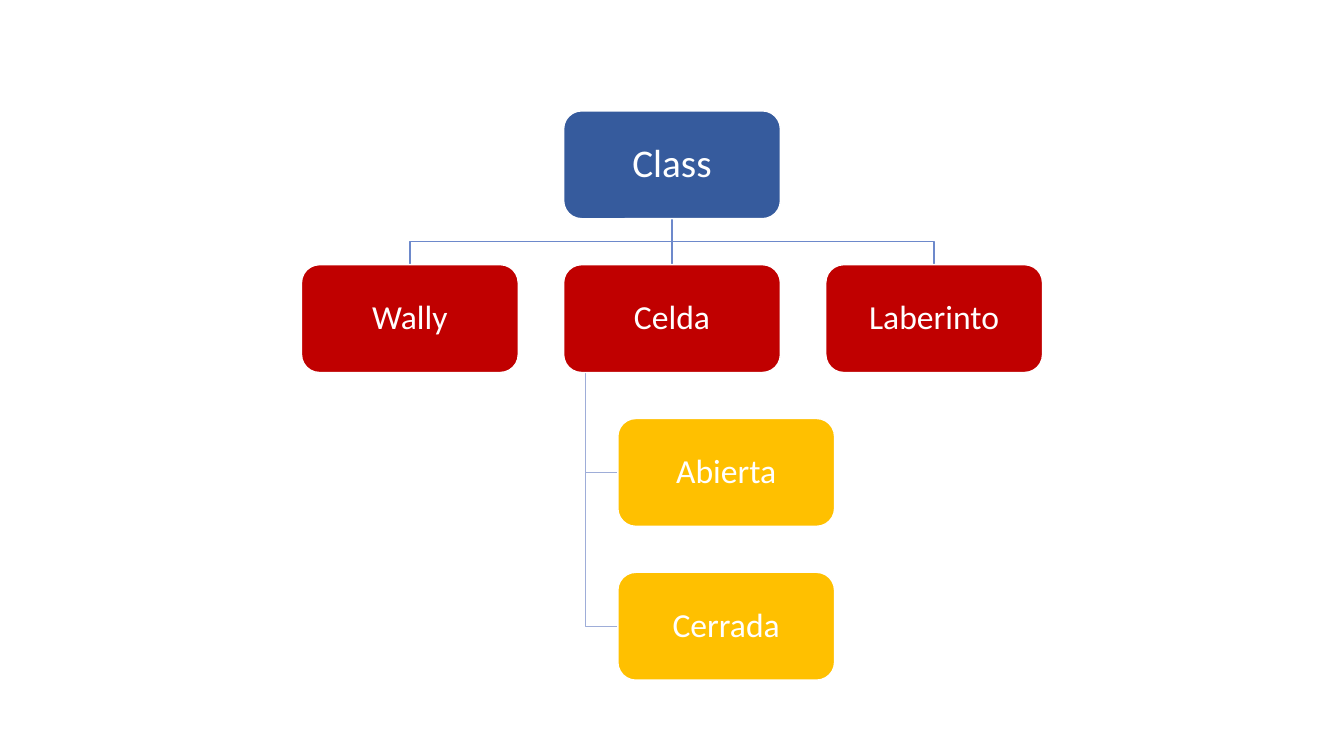
from lxml.etree import SubElement
from pptx import Presentation
from pptx.dml.color import RGBColor
from pptx.enum.shapes import MSO_CONNECTOR as Link, MSO_SHAPE as Shape
from pptx.enum.text import MSO_ANCHOR as Anchor, PP_ALIGN as Align
from pptx.oxml.ns import qn
from pptx.util import Inches, Pt

BLUE = RGBColor(0x36, 0x5B, 0x9D)
RED = RGBColor(0xC0, 0x00, 0x00)
GOLD = RGBColor(0xFF, 0xC0, 0x00)
WHITE = RGBColor(0xFF, 0xFF, 0xFF)
STEM = RGBColor(0x6D, 0x89, 0xCB)
TWIG = RGBColor(0x9E, 0xAD, 0xD8)

WIDE, HIGH = Inches(2.15), Inches(1.07)
COL, ROW = Inches(2.6), Inches(1.526)
LEFT, TOP = Inches(2.99), Inches(1.1)


def cell(col, row):
    """Return the left and top of a grid cell."""
    return LEFT + round(col * COL), TOP + row * ROW


def node(slide, spot, text, fill, size=24):
    """Draw one rounded class box at a spot."""
    box = slide.shapes.add_shape(Shape.ROUNDED_RECTANGLE, *spot, WIDE, HIGH)
    box.shadow.inherit = False
    box.fill.solid()
    box.fill.fore_color.rgb = fill
    box.line.color.rgb = WHITE
    box.line.width = Pt(1)
    frame = box.text_frame
    frame.word_wrap = True
    frame.vertical_anchor = Anchor.MIDDLE
    frame.margin_left = frame.margin_right = Inches(0.02)
    frame.margin_top = frame.margin_bottom = Inches(0.02)
    frame.text = text
    para = frame.paragraphs[0]
    para.alignment = Align.CENTER
    para.line_spacing = 0.9
    font = para.runs[0].font
    font.name, font.size = "Calibri", Pt(size)
    font.color.rgb = WHITE


def bend(slide, points, color):
    """Draw an open line with corners through the points."""
    form = slide.shapes.build_freeform(*points[0], scale=1.0)
    form.add_line_segments(points[1:], close=False)
    line = form.convert_to_shape()
    line.shadow.inherit = False
    line.fill.background()
    line.line.color.rgb = color
    line.line.width = Pt(1)


def drop(slide, x, top, end, color):
    """Draw a straight line down."""
    line = slide.shapes.add_connector(Link.STRAIGHT, x, top, x, end)
    line.line.color.rgb = color
    line.line.width = Pt(1)
    SubElement(line.element.spPr, qn("a:effectLst"))


def fan(slide, root, kids):
    """Link a root box to the row of boxes below it."""
    x, top = root[0] + WIDE // 2, root[1] + HIGH
    for left, end in kids:
        to = left + WIDE // 2
        if to == x:
            drop(slide, x, top, end, STEM)
        else:
            mid = (top + end) // 2
            bend(slide, [(x, top), (x, mid), (to, mid), (to, end)], STEM)


def hang(slide, root, kids):
    """Link a root box to the boxes stacked below it."""
    x, top = root[0] + WIDE // 10, root[1] + HIGH
    for left, high in kids:
        mid = high + HIGH // 2
        bend(slide, [(x, top), (x, mid), (left, mid)], TWIG)


def tree(slide):
    """Draw the class tree with its links behind the boxes."""
    root = cell(1, 0)
    types = [cell(col, 1) for col in range(3)]
    inset = WIDE / 4 / COL
    states = [cell(1 + inset, row) for row in (2, 3)]
    fan(slide, root, types)
    hang(slide, types[1], states)
    node(slide, root, "Class", BLUE, 28)
    for spot, text in zip(types, ("Wally", "Celda", "Laberinto")):
        node(slide, spot, text, RED)
    for spot, text in zip(states, ("Abierta", "Cerrada")):
        node(slide, spot, text, GOLD)


def main():
    """Build and save the deck."""
    deck = Presentation()
    deck.slide_width, deck.slide_height = Inches(13.33), Inches(7.5)
    tree(deck.slides.add_slide(deck.slide_layouts[6]))
    deck.save("out.pptx")


if __name__ == "__main__":
    main()
